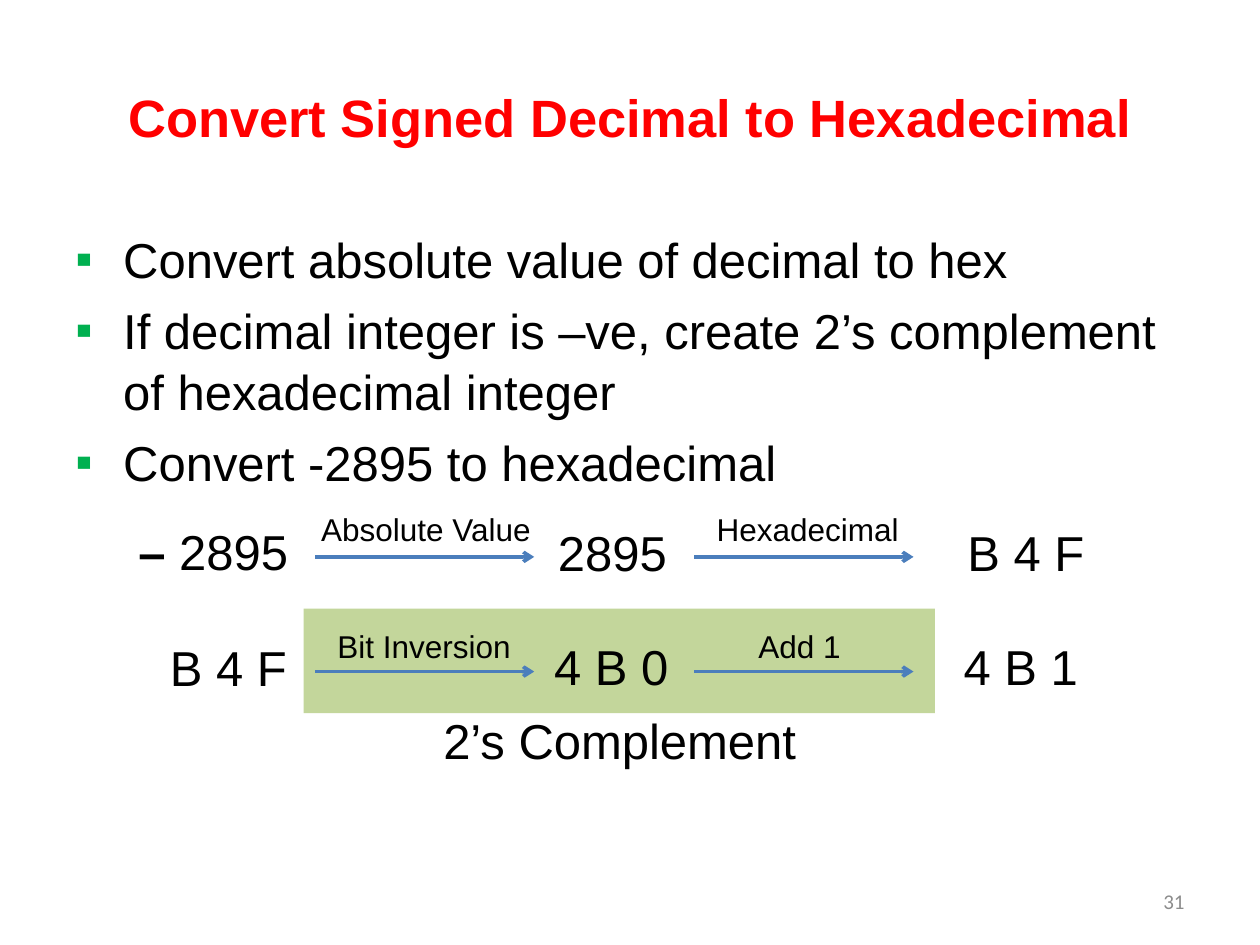
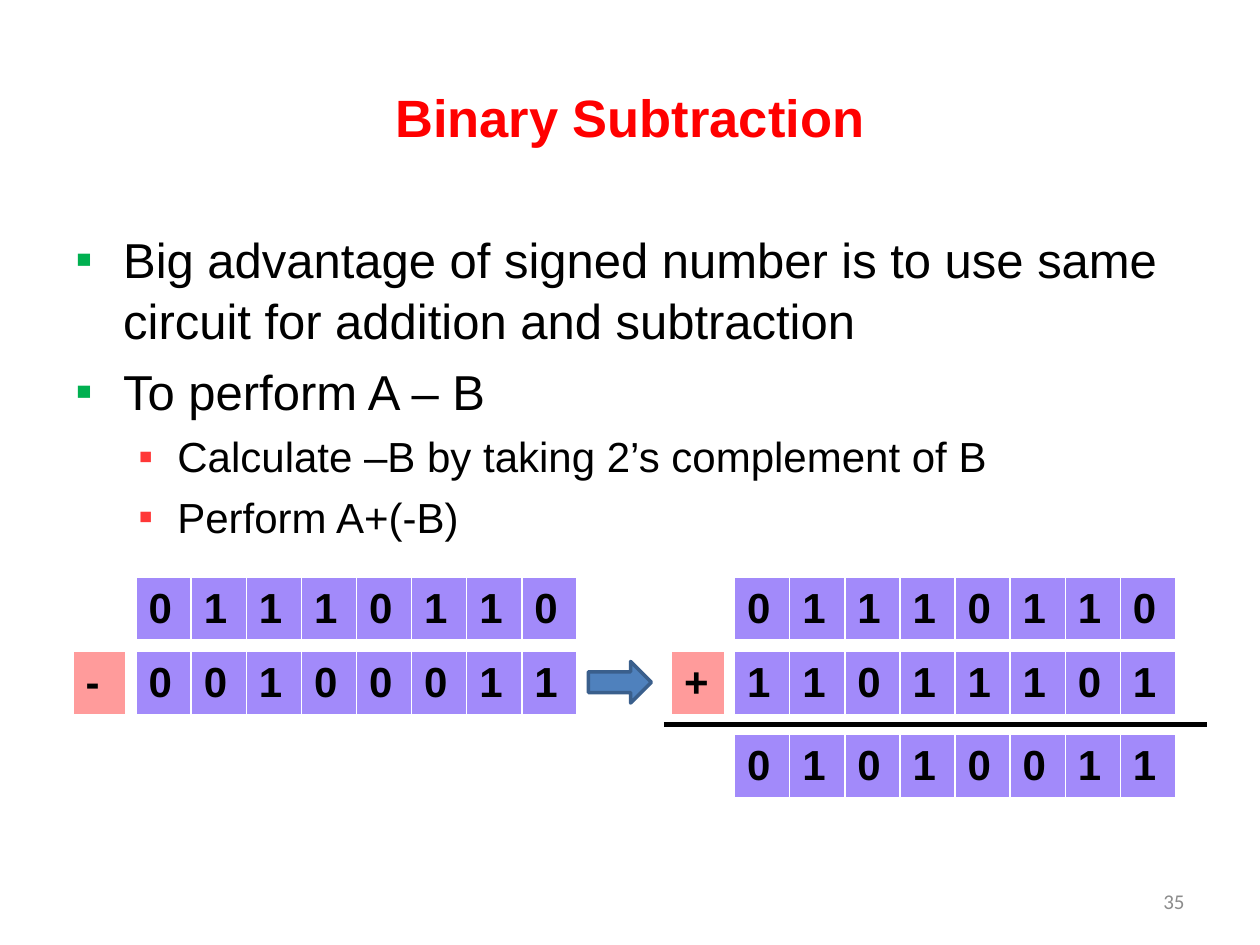
from lxml import etree
from pptx import Presentation
from pptx.dml.color import RGBColor
from pptx.enum.shapes import MSO_CONNECTOR, MSO_SHAPE
from pptx.enum.text import MSO_ANCHOR, PP_ALIGN
from pptx.oxml.ns import qn
from pptx.util import Inches, Pt

STRAIGHT = MSO_CONNECTOR.STRAIGHT
RECTANGLE, RIGHT_ARROW = MSO_SHAPE.RECTANGLE, MSO_SHAPE.RIGHT_ARROW
TOP, MIDDLE = MSO_ANCHOR.TOP, MSO_ANCHOR.MIDDLE
LEFT, CENTER, RIGHT = PP_ALIGN.LEFT, PP_ALIGN.CENTER, PP_ALIGN.RIGHT

BLACK, RED, GREY = "000000", "FF0000", "8C8C8C"
FLOW_BLUE, ARROW_BLUE, ARROW_EDGE = "4B7EBC", "4F81BD", "3A5F8C"
BAND_GREEN, BIT_PURPLE, SIGN_PINK = "C3D69B", "A28AFA", "FF9B9B"

TITLE = {"size": Pt(30), "bold": True, "color": RED}
VALUE = {"size": Pt(28)}
LABEL = {"size": Pt(18)}
BIT = {"size": Pt(24), "bold": True}
NUMBER = {"size": Pt(12), "name": "Calibri", "color": GREY}
LEVELS = [
    {"size": 28, "indent": 0.38, "hanging": 0.38, "bullet": "00B050"},
    {"size": 24, "indent": 0.81, "hanging": 0.31, "bullet": "FF3737"},
]


def rgb(value):
    return RGBColor.from_string(value)


class Deck:
    """Build slides that share one title, bullet and page number style."""

    def __init__(self):
        self.deck = Presentation()
        self.deck.slide_width, self.deck.slide_height = Inches(10), Inches(7.5)
        self.page = None

    def new_page(self, title, bullets, number):
        self.page = self.deck.slides.add_slide(self.deck.slide_layouts[6])
        self.text(0.5, 0.3, 9, 1.25, [(title, TITLE)], CENTER, MIDDLE, True)
        self.bullets(bullets)
        self.text(7.17, 6.95, 2.33, 0.4, [(number, NUMBER)], RIGHT, MIDDLE, True)

    def span(self, para, words, style):
        span = para.add_run()
        span.text = words
        values = {"name": "Arial", "bold": False, "color": BLACK, **style}
        span.font.color.rgb = rgb(values.pop("color"))
        for name, value in values.items():
            setattr(span.font, name, value)

    def text(self, left, top, width, height, spans, align=LEFT, anchor=TOP, wrap=False):
        box = self.page.shapes.add_textbox(
            Inches(left), Inches(top), Inches(width), Inches(height))
        frame = box.text_frame
        frame.word_wrap, frame.vertical_anchor = wrap, anchor
        para = frame.paragraphs[0]
        para.alignment = align
        for words, style in spans:
            self.span(para, words, style)
        return frame

    def bullets(self, items):
        frame = self.text(0.5, 1.75, 9, 4.95, [], wrap=True)
        for index, (level, words) in enumerate(items):
            para = frame.add_paragraph() if index else frame.paragraphs[0]
            look = LEVELS[level]
            para.level = level
            para.line_spacing = 1.04
            para.space_before = Pt(look["size"] * 0.2)
            props = para._p.get_or_add_pPr()
            props.set("marL", str(Inches(look["indent"])))
            props.set("indent", str(-Inches(look["hanging"])))
            color = etree.SubElement(props, qn("a:buClr"))
            etree.SubElement(color, qn("a:srgbClr"), val=look["bullet"])
            etree.SubElement(props, qn("a:buFont"), typeface="Arial")
            etree.SubElement(props, qn("a:buChar"), char="▪")
            self.span(para, words, {"size": Pt(look["size"])})

    def shape(self, kind, left, top, width, height, fill, edge=None):
        shape = self.page.shapes.add_shape(
            kind, Inches(left), Inches(top), Inches(width), Inches(height))
        shape.shadow.inherit = False
        shape.fill.solid()
        shape.fill.fore_color.rgb = rgb(fill)
        if edge:
            shape.line.color.rgb = rgb(edge)
            shape.line.width = Pt(2)
        else:
            shape.line.fill.background()

    def line(self, start, end, top, color, weight, arrow=False):
        line = self.page.shapes.add_connector(
            STRAIGHT, Inches(start), Inches(top), Inches(end), Inches(top))
        line.line.color.rgb = rgb(color)
        line.line.width = Pt(weight)
        if arrow:
            etree.SubElement(line.line._get_or_add_ln(), qn("a:tailEnd"), type="arrow")
        etree.SubElement(line._element.spPr, qn("a:effectLst"))

    def digits(self, left, top, width, symbols, fill):
        table = self.page.shapes.add_table(
            1, len(symbols), Inches(left), Inches(top), Inches(width), Inches(0.41)).table
        for cell, symbol in zip(table.rows[0].cells, symbols):
            cell.fill.solid()
            cell.fill.fore_color.rgb = rgb(fill)
            cell.vertical_anchor = MIDDLE
            self.span(cell.text_frame.paragraphs[0], symbol, BIT)


def conversion_page(deck):
    deck.new_page("Convert Signed Decimal to Hexadecimal", [
        (0, "Convert absolute value of decimal to hex"),
        (0, "If decimal integer is –ve, create 2’s complement of hexadecimal integer"),
        (0, "Convert -2895 to hexadecimal"),
    ], "31")
    deck.shape(RECTANGLE, 2.41, 4.83, 5.01, 0.83, BAND_GREEN)
    for top in (4.42, 5.33):
        for start in (2.5, 5.51):
            deck.line(start, start + 1.74, top, FLOW_BLUE, 2, arrow=True)
    deck.text(1, 4.09, 1.41, 0.57, [("– ", {**VALUE, "bold": True}), ("2895", VALUE)])
    values = [
        (4.33, 4.1, 1.08, "2895"), (7.58, 4.1, 1.14, "B 4 F"),
        (1.25, 5.01, 1.14, "B 4 F"), (4.3, 5, 1.12, "4 B 0"),
        (7.55, 5, 1.12, "4 B 1"), (3.42, 5.59, 3.04, "2’s Complement"),
    ]
    for left, top, width, words in values:
        deck.text(left, top, width, 0.57, [(words, VALUE)])
    labels = [
        (2.45, 4, 1.88, "Absolute Value"), (5.59, 4, 1.66, "Hexadecimal"),
        (2.58, 4.93, 1.59, "Bit Inversion"), (5.92, 4.93, 0.86, "Add 1"),
    ]
    for left, top, width, words in labels:
        deck.text(left, top, width, 0.4, [(words, LABEL)])


def subtraction_page(deck):
    deck.new_page("Binary Subtraction", [
        (0, "Big advantage of signed number is to use same circuit "
            "for addition and subtraction"),
        (0, "To perform A – B"),
        (1, "Calculate –B by taking 2’s complement of B"),
        (1, "Perform A+(-B)"),
    ], "35")
    first_row, second_row, result_row = 4.58, 5.17, 5.83
    sums = [
        (1.08, "-", [(first_row, "01110110"), (second_row, "00100011")]),
        (5.83, "+", [(first_row, "01110110"), (second_row, "11011101"),
                     (result_row, "01010011")]),
    ]
    for left, sign, numbers in sums:
        deck.digits(left - 0.5, second_row, 0.42, sign, SIGN_PINK)
        for top, bits in numbers:
            deck.digits(left, top, 3.5, bits, BIT_PURPLE)
    deck.shape(RIGHT_ARROW, 4.67, 5.25, 0.5, 0.33, ARROW_BLUE, ARROW_EDGE)
    deck.line(5.27, 9.58, 5.75, BLACK, 3)


def main():
    deck = Deck()
    conversion_page(deck)
    subtraction_page(deck)
    deck.deck.save("out.pptx")


if __name__ == "__main__":
    main()
